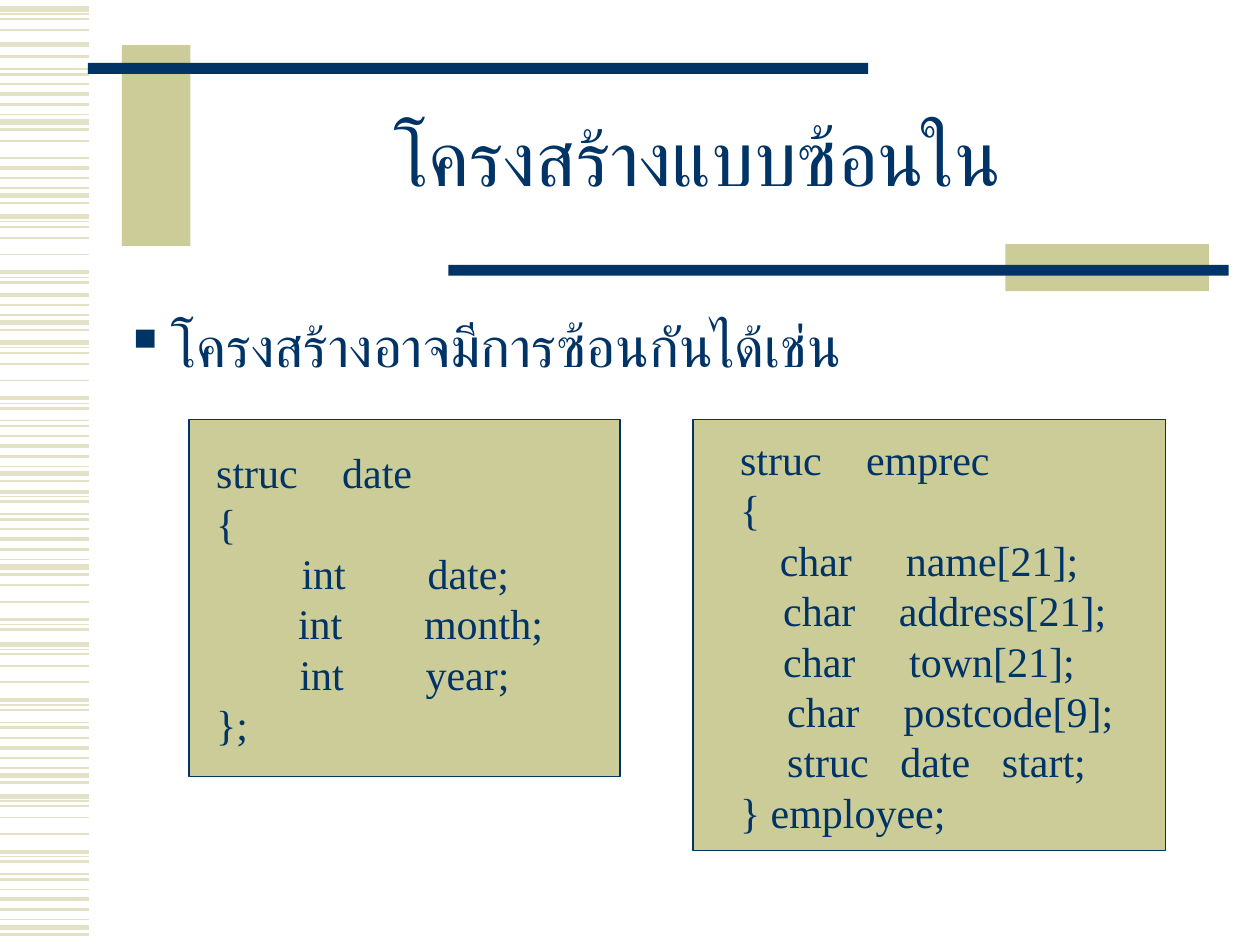
"""Build a slide on nested structures with two code boxes."""
from lxml.etree import SubElement
from pptx import Presentation
from pptx.dml.color import RGBColor
from pptx.enum.shapes import MSO_CONNECTOR, MSO_SHAPE
from pptx.enum.text import MSO_ANCHOR, MSO_AUTO_SIZE, PP_ALIGN
from pptx.oxml.ns import qn
from pptx.util import Cm, Pt

NAVY, SAND, PALE = "003366", "CCCC99", "E3E2C7"
FACE = "Times New Roman"


def paint(part, tint):
    """Give a fill, line or font a solid colour."""
    color = part.color if hasattr(part, "color") else part.fore_color
    color.rgb = RGBColor.from_string(tint)


def write(para, text, size, style):
    """Add one styled run and format its paragraph."""
    run = para.add_run()
    run.text = text
    for key, value in {"name": FACE, "size": Pt(size), "bold": False}.items():
        setattr(run.font, key, value)
    paint(run.font, NAVY)
    SubElement(run.font._element, qn("a:cs"), typeface=FACE)
    for key, value in style.items():
        setattr(para, key, value)


deck = Presentation()
deck.slide_width, deck.slide_height = Cm(25.4), Cm(19.05)
slide = deck.slides.add_slide(deck.slide_layouts[5])
shapes = slide.shapes

steps = [
    (0, 3), (0.1, 0.75), (0.2, 1), (0.43, 1), (0.76, 1), (1.12, 2.25),
    (1.22, 0.75), (1.32, 1.5), (1.57, 0.75), (1.68, 1.5), (1.88, 1),
    (2.08, 2.25), (2.29, 1.5), (2.49, 0.75), (2.64, 3), (2.79, 1.5),
]
bands = [
    (0.18, 0, 4), (0.89, 0, 1), (-0.18, 7, 16), (2.08, 4, 5),
    (1.3, 10, 16), (4.37, 0, 8), (3.86, 11, 16), (6.91, 0, 16),
    (8.79, 5, 16), (11.37, 3, 8), (12.99, 0, 16), (16.05, 0, 16),
]
for base, first, last in bands:
    for step, width in steps[first:last]:
        y = Cm(base + step)
        stripe = shapes.add_connector(MSO_CONNECTOR.STRAIGHT, 0, y, Cm(1.8), y)
        stripe.line.width = Pt(width)
        paint(stripe.line, PALE)
        SubElement(stripe._element.spPr, qn("a:effectLst"))

bars = [
    (2.46, 0.91, 1.38, 4.05, SAND), (1.77, 1.27, 15.73, 0.22, NAVY),
    (20.27, 4.92, 4.1, 0.95, SAND), (9.04, 5.34, 15.73, 0.22, NAVY),
]
for *box, tint in bars:
    bar = shapes.add_shape(MSO_SHAPE.RECTANGLE, *map(Cm, box))
    bar.shadow.inherit = False
    bar.fill.solid()
    paint(bar.fill, tint)
    bar.line.fill.background()

title = shapes.title
place = {"left": 3.81, "top": 1.7, "width": 20.5, "height": 3.18}
for key, value in place.items():
    setattr(title, key, Cm(value))
frame = title.text_frame
frame.vertical_anchor = MSO_ANCHOR.MIDDLE
frame.auto_size = MSO_AUTO_SIZE.NONE
write(frame.paragraphs[0], "โครงสร้างแบบซ้อนใน", 44,
      {"alignment": PP_ALIGN.CENTER, "line_spacing": 0.85})

body = shapes.add_textbox(Cm(2.26), Cm(6.15), Cm(22.1), Cm(10.77))
body.text_frame.word_wrap = True
para = body.text_frame.paragraphs[0]
write(para, "โครงสร้างอาจมีการซ้อนกันได้เช่น", 32, {"space_before": Pt(8)})
props = para._p.get_or_add_pPr()
for key, value in {"marL": Cm(0.95), "indent": Cm(-0.95)}.items():
    props.set(key, str(value))
SubElement(props, qn("a:buChar"), char="▪")

codes = [
    ((3.81, 8.46, 8.69, 7.19), 0.55, [
        ("struc\tdate", [2.54]),
        ("{", []),
        ("\tint\tdate;", [1.72, 4.26]),
        ("\tint\tmonth;", [1.65, 4.19]),
        ("\tint\tyear;", [1.68, 4.22]),
        ("};", []),
    ]),
    ((13.97, 8.46, 9.53, 8.69), 0.95, [
        ("struc\temprec", [2.54]),
        ("{", []),
        ("\tchar\tname[21];", [0.8, 3.34]),
        ("\tchar\taddress[21];", [0.87, 3.2]),
        ("\tchar\ttown[21];", [0.87, 3.41]),
        ("\tchar\tpostcode[9];", [0.95, 3.29]),
        ("\tstruc\tdate\tstart;", [0.95, 3.23, 5.28]),
        ("} employee;", []),
    ]),
]
for box, inset, lines in codes:
    card = shapes.add_shape(MSO_SHAPE.RECTANGLE, *map(Cm, box))
    card.shadow.inherit = False
    card.fill.solid()
    paint(card.fill, SAND)
    paint(card.line, NAVY)
    card.line.width = Pt(0.75)
    frame = card.text_frame
    style = {"word_wrap": True, "margin_left": Cm(inset),
             "vertical_anchor": MSO_ANCHOR.MIDDLE}
    for key, value in style.items():
        setattr(frame, key, value)
    for count, (text, stops) in enumerate(lines):
        para = frame.add_paragraph() if count else frame.paragraphs[0]
        write(para, text, 24, {"alignment": PP_ALIGN.LEFT})
        if stops:
            tabs = SubElement(para._p.get_or_add_pPr(), qn("a:tabLst"))
            for stop in stops:
                SubElement(tabs, qn("a:tab"), pos=str(Cm(stop)), algn="l")

deck.save("out.pptx")
